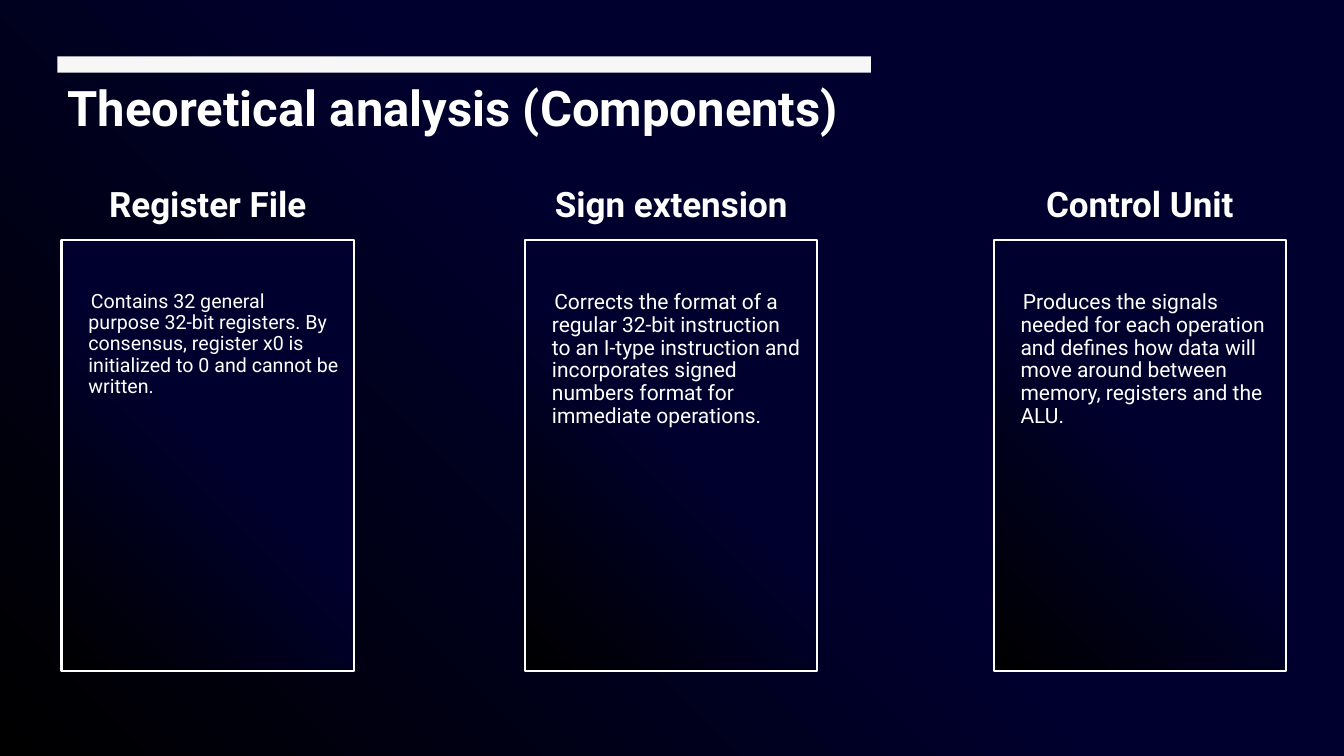
import dataclasses

import pptx
import pptx.dml.color
import pptx.dml.fill
import pptx.enum.shapes
import pptx.enum.text
import pptx.oxml
import pptx.oxml.ns
import pptx.oxml.xmlchemy
import pptx.slide
import pptx.text.text
import pptx.util
from pptx.util import Cm, Pt


@dataclasses.dataclass(frozen=True)
class Theme:
    font: str = "Roboto"
    navy: str = "00002E"
    black: str = "000000"
    white: str = "FFFFFF"
    accent: str = "F7F7F7"
    title_size: float = 35
    heading_size: float = 25
    outline_width: float = 1.5


@dataclasses.dataclass(frozen=True)
class Component:
    name: str
    description: str
    left: float
    text_size: float


THEME = Theme()
CARD_TOP, CARD_WIDTH, CARD_HEIGHT = 6.05, 7.37, 10.85
HEADING_TOP, HEADING_HEIGHT, HEADING_MARGIN = 4.47, 1.02, 0.1
BANNER_LEFT, BANNER_TOP, BANNER_WIDTH, BANNER_HEIGHT = 1.45, 1.42, 20.5, 0.41
TITLE_HEIGHT = 2.06

COMPONENTS = [
    Component(
        "Register File",
        "Contains 32 general purpose 32-bit registers. By consensus, "
        "register x0 is initialized to 0 and cannot be written.",
        1.55, 14,
    ),
    Component(
        "Sign extension",
        "Corrects the format of a regular 32-bit instruction to an I-type "
        "instruction and incorporates signed numbers format for immediate operations.",
        13.23, 15,
    ),
    Component(
        "Control Unit",
        "Produces the signals needed for each operation and defines how data "
        "will move around between memory, registers and the ALU.",
        25.04, 15,
    ),
]


def rgb(value: str) -> pptx.dml.color.RGBColor:
    return pptx.dml.color.RGBColor.from_string(value)


def apply_glow(
    fill: pptx.dml.fill.FillFormat, owner: pptx.oxml.xmlchemy.BaseOxmlElement
) -> None:
    """Fill with a circular gradient, navy at the top right, black at the bottom left."""
    fill.gradient()
    gradient = next(owner.iter(pptx.oxml.ns.qn("a:gradFill")))
    for child in list(gradient):
        gradient.remove(child)
    stops = "".join(
        f'<a:gs pos="{percent * 1000}"><a:srgbClr val="{color}"/></a:gs>'
        for percent, color in ((0, THEME.navy), (46, THEME.navy), (100, THEME.black))
    )
    glow = pptx.oxml.parse_xml(
        f'<a:gradFill {pptx.oxml.ns.nsdecls("a")}><a:gsLst>{stops}</a:gsLst>'
        '<a:path path="circle"><a:fillToRect l="100000" b="100000"/></a:path></a:gradFill>'
    )
    gradient.extend(list(glow))


def add_text(
    paragraph: pptx.text.text._Paragraph, text: str, size: float, bold: bool = False
) -> None:
    run = paragraph.add_run()
    run.text = text
    run.font.name = THEME.font
    run.font.size = Pt(size)
    run.font.bold = bold
    run.font.color.rgb = rgb(THEME.white)


def add_label(
    slide: pptx.slide.Slide, text: str, left: float, top: float, width: float,
    height: float, size: float, align: pptx.enum.text.PP_ALIGN,
) -> None:
    label = slide.shapes.add_textbox(Cm(left), Cm(top), Cm(width), Cm(height))
    label.text_frame.word_wrap = True
    paragraph = label.text_frame.paragraphs[0]
    paragraph.alignment = align
    add_text(paragraph, text, size, bold=True)


def add_banner(slide: pptx.slide.Slide) -> None:
    banner = slide.shapes.add_shape(
        pptx.enum.shapes.MSO_SHAPE.RECTANGLE,
        Cm(BANNER_LEFT), Cm(BANNER_TOP), Cm(BANNER_WIDTH), Cm(BANNER_HEIGHT),
    )
    banner.shadow.inherit = False
    banner.fill.solid()
    banner.fill.fore_color.rgb = rgb(THEME.accent)
    banner.line.fill.background()


def add_card(slide: pptx.slide.Slide, component: Component) -> None:
    card = slide.shapes.add_shape(
        pptx.enum.shapes.MSO_SHAPE.RECTANGLE,
        Cm(component.left), Cm(CARD_TOP), Cm(CARD_WIDTH), Cm(CARD_HEIGHT),
    )
    card.shadow.inherit = False
    apply_glow(card.fill, card.element)
    card.line.color.rgb = rgb(THEME.white)
    card.line.width = Pt(THEME.outline_width)

    frame = card.text_frame
    frame.word_wrap = True
    frame.vertical_anchor = pptx.enum.text.MSO_ANCHOR.TOP
    frame.margin_left = frame.margin_right = frame.margin_bottom = Cm(0.38)
    frame.margin_top = Cm(1.3)
    paragraph = frame.paragraphs[0]
    paragraph.alignment = pptx.enum.text.PP_ALIGN.LEFT
    paragraph.line_spacing = 0.9
    properties = paragraph._p.get_or_add_pPr()
    properties.set("marL", str(Cm(0.3)))
    properties.set("indent", str(Cm(0.06)))
    add_text(paragraph, component.description, component.text_size)


def main() -> None:
    presentation = pptx.Presentation()
    presentation.slide_width = Cm(33.87)
    presentation.slide_height = Cm(19.05)
    slide = presentation.slides.add_slide(presentation.slide_layouts[6])
    apply_glow(slide.background.fill, slide.element)

    add_banner(slide)
    add_label(
        slide, "Theoretical analysis (Components)", BANNER_LEFT,
        BANNER_TOP + BANNER_HEIGHT, BANNER_WIDTH, TITLE_HEIGHT,
        THEME.title_size, pptx.enum.text.PP_ALIGN.LEFT,
    )
    for component in COMPONENTS:
        add_card(slide, component)
        add_label(
            slide, component.name, component.left + HEADING_MARGIN, HEADING_TOP,
            CARD_WIDTH - 2 * HEADING_MARGIN, HEADING_HEIGHT,
            THEME.heading_size, pptx.enum.text.PP_ALIGN.CENTER,
        )
    presentation.save("out.pptx")


if __name__ == "__main__":
    main()
